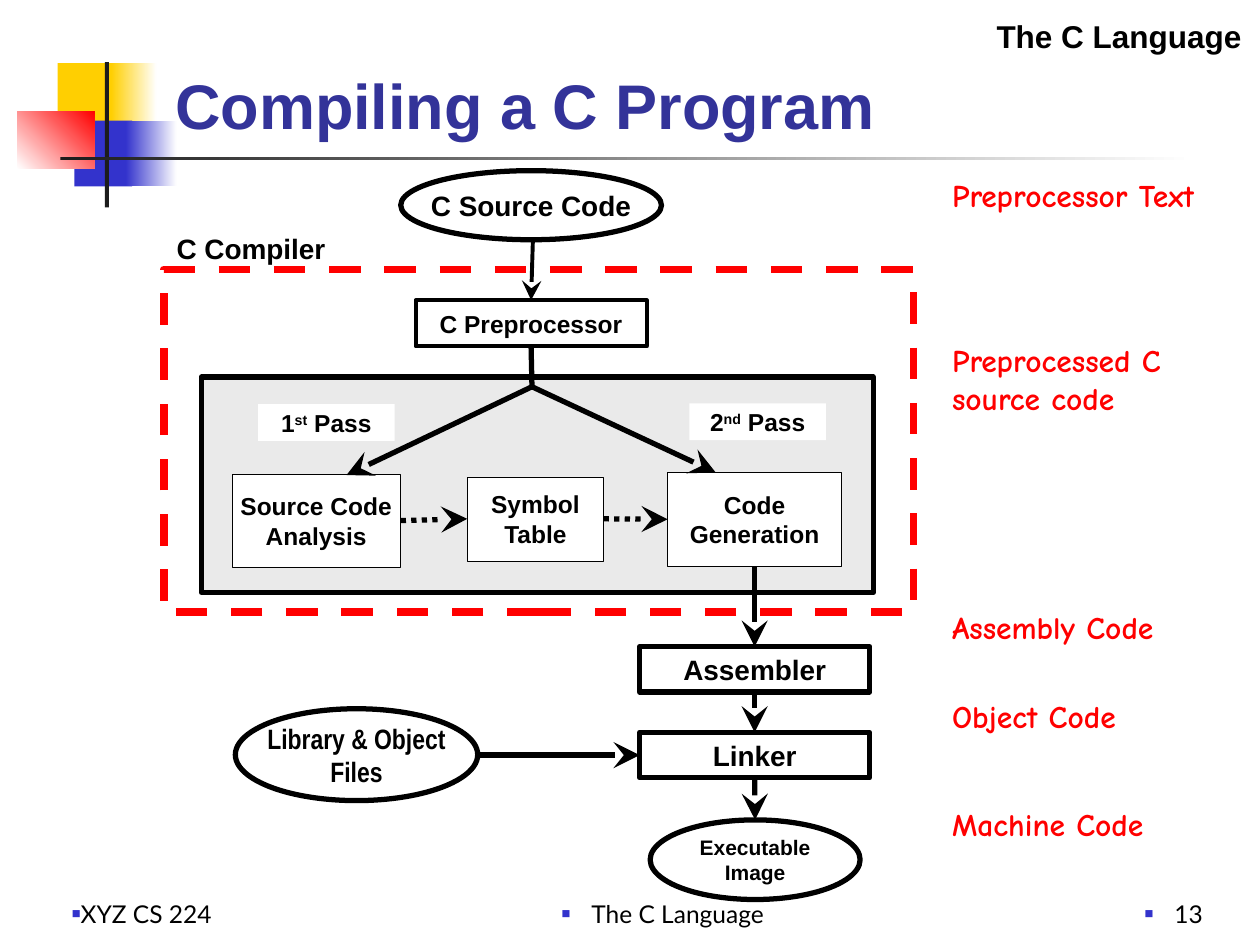
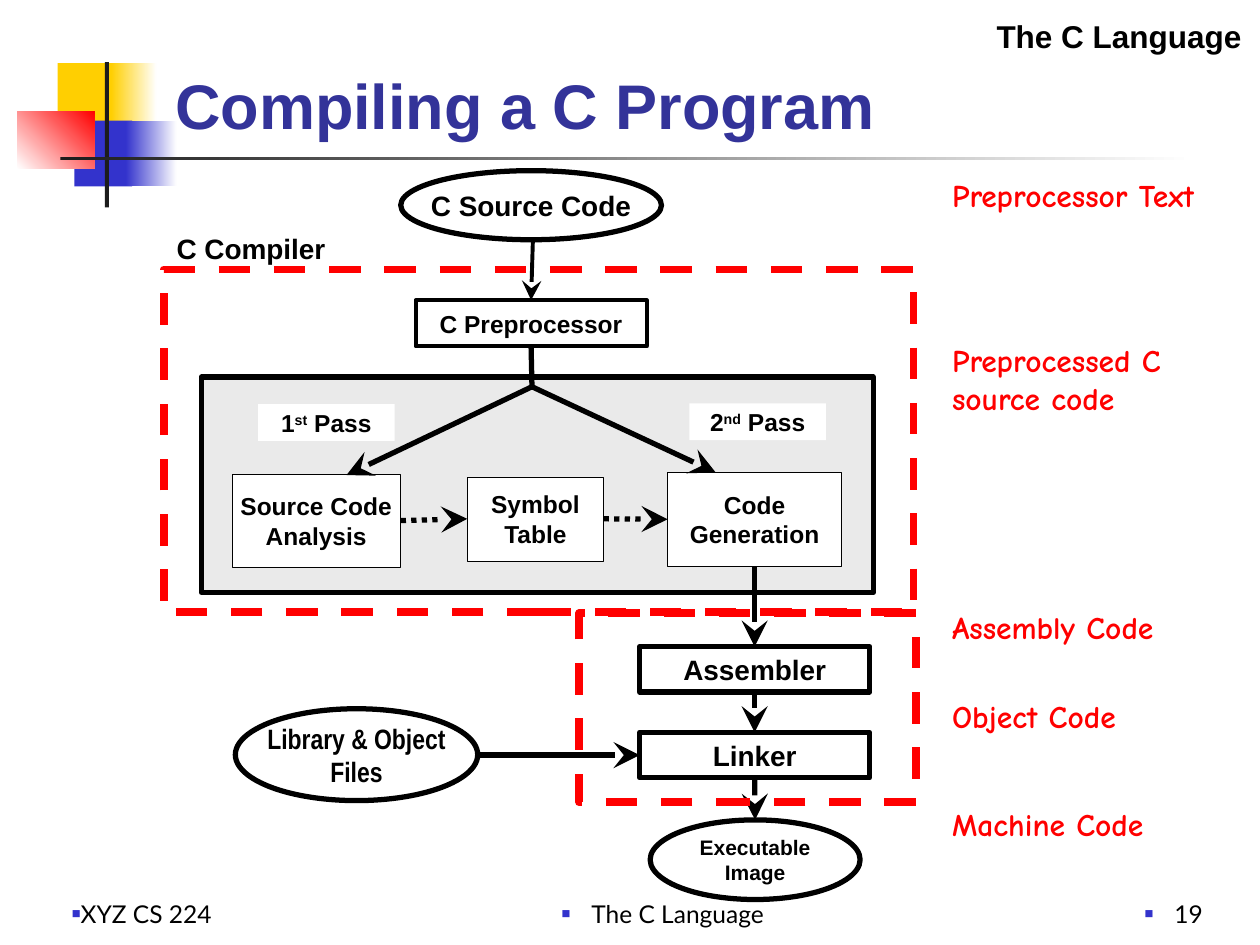
from lxml import etree
from pptx import Presentation
from pptx.dml.color import RGBColor
from pptx.enum import dml, shapes, text
from pptx.oxml import ns
from pptx.util import Pt

BLACK = RGBColor(0x00, 0x00, 0x00)
WHITE = RGBColor(0xFF, 0xFF, 0xFF)
RED = RGBColor(0xFF, 0x00, 0x00)
YELLOW = RGBColor(0xFF, 0xCF, 0x01)
BLUE = RGBColor(0x33, 0x33, 0xCC)
TITLE_BLUE = RGBColor(0x33, 0x33, 0x99)
CHARCOAL = RGBColor(0x1C, 0x1C, 0x1C)
PANEL_GREY = RGBColor(0xEA, 0xEA, 0xEA)

RECT = shapes.MSO_SHAPE.RECTANGLE
OVAL = shapes.MSO_SHAPE.OVAL
LEFT, CENTER, RIGHT = (text.PP_ALIGN.LEFT, text.PP_ALIGN.CENTER,
                       text.PP_ALIGN.RIGHT)
TOP, MIDDLE, BOTTOM = (text.MSO_ANCHOR.TOP, text.MSO_ANCHOR.MIDDLE,
                       text.MSO_ANCHOR.BOTTOM)
SIDE_TOP, SIDE_LEFT, SIDE_BOTTOM, SIDE_RIGHT = range(4)

TITLE = "Compiling a C Program"
TOPIC = "The C Language"
COURSE = "XYZ CS 224"

# Page number, and whether the assembler and linker are framed too
PAGES = [(13, False), (19, True)]

# Place, fill colours (two make a gradient), gradient angle
BANDS = [
    ((33, 36, 34.5, 37.5), [YELLOW], 0),
    ((63.5, 36, 26, 37.5), [YELLOW, WHITE], 0),
    ((42.5, 69, 33, 37.5), [BLUE], 0),
    ((72, 69, 29, 37.5), [BLUE, WHITE], 0),
    ((10, 63.5, 44, 33), [WHITE, RED], 45),
    ((60, 35.5, 2.2, 83), [CHARCOAL], 0),
    ((34.5, 89.5, 648, 2.2), [CHARCOAL, WHITE], 0),
]

COMPILER_FRAME = (93.5, 154, 428.5, 196)
LINKING_FRAME = (331, 350.5, 192.5, 108)
PASSES_PANEL = (115, 215.5, 384, 123)

# Name: shape, place, line width, text size, font, text
NODES = {
    "source": (OVAL, (229, 97.5, 149, 39.5), 3, 16, "Arial",
               "C Source Code"),
    "preprocessor": (RECT, (237.5, 171.5, 132, 26.5), 2.25, 14, "Arial",
                     "C Preprocessor"),
    "analysis": (RECT, (132.5, 271, 96.5, 53), 0.25, 14, "Arial",
                 "Source Code\nAnalysis"),
    "symbols": (RECT, (267, 272.5, 78, 48), 0.25, 14, "Arial",
                "Symbol\nTable"),
    "generation": (RECT, (381.5, 270, 99.5, 53.5), 0.25, 14, "Arial",
                   "Code\nGeneration"),
    "assembler": (RECT, (365.5, 369.5, 131.5, 26), 3, 16, "Arial",
                  "Assembler"),
    "linker": (RECT, (365.5, 418.5, 131.5, 26), 3, 16, "Arial", "Linker"),
    "library": (OVAL, (134.5, 405, 138.5, 52.5), 3, 16, "Arial Narrow",
                "Library & Object\nFiles"),
    "executable": (OVAL, (371.5, 468.5, 120, 45.5), 3, 12, "Arial",
                   "Executable\nImage"),
}

PASSES = [("1", "st", (147.5, 231, 78, 21)), ("2", "nd", (394, 230.5, 78, 21))]

FORK = (304, 221)
# Start and end (a point, or a node and its side), width, dotted, arrowhead
LINKS = [
    ((304.5, 137.5), ("preprocessor", SIDE_TOP), 2.25, False, True),
    (("preprocessor", SIDE_BOTTOM), FORK, 3, False, False),
    (FORK, (198, 271.5), 3, False, True),
    (FORK, (409, 270), 3, False, True),
    (("analysis", SIDE_RIGHT), ("symbols", SIDE_LEFT), 3, True, True),
    (("symbols", SIDE_RIGHT), ("generation", SIDE_LEFT), 3, True, True),
    (("generation", SIDE_BOTTOM), ("assembler", SIDE_TOP), 3, False, True),
    (("assembler", SIDE_BOTTOM), ("linker", SIDE_TOP), 3, False, True),
    ((273, 431.5), ("linker", SIDE_LEFT), 3, False, True),
    (("linker", SIDE_BOTTOM), (431.5, 468.5), 3, False, True),
]

PRODUCTS_LEFT, PRODUCTS_WIDTH = 537, 166.5
# Text, top, height
PRODUCTS = [
    ("Preprocessor Text", 97, 51),
    ("Preprocessed C source code", 191.5, 51),
    ("Assembly Code", 344, 29),
    ("Object Code", 394.5, 29),
    ("Machine Code", 456.5, 29),
]


def points(values):
    return [Pt(value) for value in values]


def write(box, words, size, font="Arial", color=BLACK, bold=True,
          align=CENTER, anchor=MIDDLE, wrap=False):
    """Fill a shape with text, one paragraph a line, in a single style."""
    frame = box.text_frame
    frame.text = words
    frame.word_wrap = wrap
    frame.vertical_anchor = anchor
    for para in frame.paragraphs:
        para.alignment = align
        para.font.size = Pt(size)
        para.font.name = font
        para.font.bold = bold
        para.font.color.rgb = color
    return frame.paragraphs[0]


def add_text(page, place, words, size, **style):
    return write(page.shapes.add_textbox(*points(place)), words, size, **style)


def add_box(page, kind, place, fill=None, line=None, width=0):
    box = page.shapes.add_shape(kind, *points(place))
    box.shadow.inherit = False
    if fill is None:
        box.fill.background()
    else:
        box.fill.solid()
        box.fill.fore_color.rgb = fill
    if line is None:
        box.line.fill.background()
    else:
        box.line.color.rgb = line
        box.line.width = Pt(width)
    return box


def add_dashed_frame(page, place):
    box = add_box(page, RECT, place, line=RED, width=4.5)
    box.line.dash_style = dml.MSO_LINE.DASH


def add_band(page, place, colors, angle):
    box = add_box(page, RECT, place, fill=colors[0])
    if len(colors) > 1:
        box.fill.gradient()
        box.fill.gradient_angle = angle
        for stop, color in zip(box.fill.gradient_stops, colors):
            stop.color.rgb = color


def add_bullet(para):
    properties = para._p.get_or_add_pPr()
    color = etree.SubElement(properties, ns.qn("a:buClr"))
    etree.SubElement(color, ns.qn("a:srgbClr"), val=str(BLUE))
    etree.SubElement(properties, ns.qn("a:buSzPct"), val="60000")
    etree.SubElement(properties, ns.qn("a:buFont"), typeface="Arial")
    etree.SubElement(properties, ns.qn("a:buChar"), char="■")
    # Bullet settings must come before the default run properties
    defaults = properties.find(ns.qn("a:defRPr"))
    if defaults is not None:
        properties.append(defaults)


def add_link(page, nodes, start, end, width, dotted, arrow):
    ends = [(0, 0) if isinstance(spot[0], str) else spot
            for spot in (start, end)]
    link = page.shapes.add_connector(shapes.MSO_CONNECTOR.STRAIGHT,
                                     *points(ends[0] + ends[1]))
    for spot, connect in ((start, link.begin_connect),
                          (end, link.end_connect)):
        if isinstance(spot[0], str):
            connect(nodes[spot[0]], spot[1])
    link.line.color.rgb = BLACK
    link.line.width = Pt(width)
    if dotted:
        link.line.dash_style = dml.MSO_LINE.ROUND_DOT
    if arrow:
        etree.SubElement(link.line._get_or_add_ln(), ns.qn("a:tailEnd"),
                         type="stealth", w="lg", len="lg")
    etree.SubElement(link._element.spPr, ns.qn("a:effectLst"))


def add_pass_label(page, number, ordinal, place):
    box = add_box(page, RECT, place, fill=WHITE)
    para = write(box, number, 14)
    raised = para.add_run()
    raised.text = ordinal
    raised.font._element.set("baseline", "30000")
    para.add_run().text = " Pass"


def add_common_parts(page, number):
    for band in BANDS:
        add_band(page, *band)
    footers = [(COURSE, (34, 498, 150, 36), LEFT),
               (TOPIC, (200, 498, 369.5, 36), CENTER),
               (str(number), (544.5, 498, 150, 36), RIGHT)]
    for words, place, align in footers:
        add_bullet(add_text(page, place, words, 14, font="Lato", bold=False,
                            align=align, anchor=BOTTOM, wrap=True))
    add_text(page, (93, 16.5, 613.5, 68.5), TITLE, 36, color=TITLE_BLUE,
             align=LEFT, anchor=BOTTOM, wrap=True)
    add_text(page, (427, 6, 289.5, 29), TOPIC, 18, align=RIGHT, anchor=TOP,
             wrap=True)


def add_diagram(page):
    add_dashed_frame(page, COMPILER_FRAME)
    add_text(page, (93.5, 128.5, 100, 26.5), "C Compiler", 16)
    add_box(page, RECT, PASSES_PANEL, PANEL_GREY, BLACK, 3)
    nodes = {}
    for name, (kind, place, width, size, font, words) in NODES.items():
        nodes[name] = add_box(page, kind, place, WHITE, BLACK, width)
        write(nodes[name], words, size, font)
    for label in PASSES:
        add_pass_label(page, *label)
    for link in LINKS:
        add_link(page, nodes, *link)
    for words, top, height in PRODUCTS:
        add_text(page, (PRODUCTS_LEFT, top, PRODUCTS_WIDTH, height), words,
                 18, font="Comic Neue", color=RED, align=LEFT, anchor=TOP,
                 wrap=True)


def main():
    deck = Presentation()
    deck.slide_width, deck.slide_height = Pt(720), Pt(540)
    for number, linking_framed in PAGES:
        page = deck.slides.add_slide(deck.slide_layouts[6])
        add_common_parts(page, number)
        add_diagram(page)
        if linking_framed:
            add_dashed_frame(page, LINKING_FRAME)
    deck.save("out.pptx")


if __name__ == "__main__":
    main()
